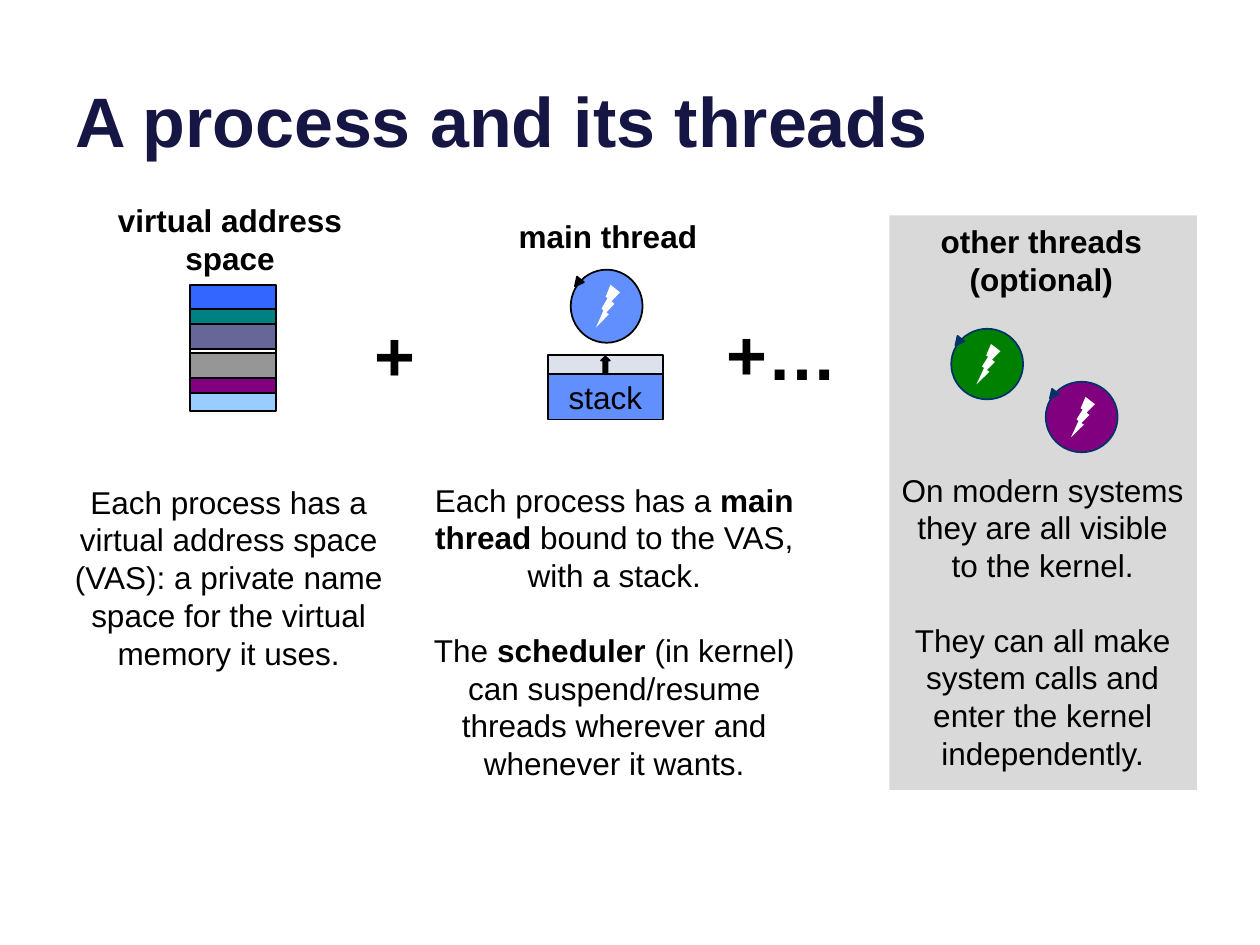
import pptx
import pptx.util
import pptx.dml.color
import pptx.enum.shapes
import pptx.enum.text

Inches = pptx.util.Inches
Pt = pptx.util.Pt
hue = pptx.dml.color.RGBColor.from_string
Kind = pptx.enum.shapes.MSO_SHAPE
Align = pptx.enum.text.PP_ALIGN
Anchor = pptx.enum.text.MSO_ANCHOR
Fit = pptx.enum.text.MSO_AUTO_SIZE

deck = pptx.Presentation()
deck.slide_width = Inches(10)
deck.slide_height = Inches(7.5)
slide = deck.slides.add_slide(deck.slide_layouts[6])


def draw(kind, box, fill, line=None):
    shape = slide.shapes.add_shape(kind, *map(Inches, box))
    shape.shadow.inherit = False
    shape.fill.solid()
    shape.fill.fore_color.rgb = hue(fill)
    if line:
        shape.line.color.rgb = hue(line)
        shape.line.width = Pt(1)
    else:
        shape.line.fill.background()
    return shape


def write(text, box=None, host=None, size=18, bold=False, color="000000",
          align=Align.CENTER, anchor=Anchor.MIDDLE, wrap=True, grow=True, gap=0):
    host = host or slide.shapes.add_textbox(*map(Inches, box))
    frame = host.text_frame
    frame.word_wrap = wrap
    frame.auto_size = Fit.SHAPE_TO_FIT_TEXT if grow else Fit.NONE
    frame.vertical_anchor = anchor
    for row, words in enumerate(text.split("\n")):
        para = frame.add_paragraph() if row else frame.paragraphs[0]
        para.alignment = align
        if row:
            para.space_before = Pt(gap)
        for part, piece in enumerate(words.split("**")):
            run = para.add_run()
            run.text = piece
            run.font.name = "Arial"
            run.font.size = Pt(size)
            run.font.bold = bold or part % 2 == 1
            run.font.color.rgb = hue(color)


draw(Kind.RECTANGLE, (7.06, 1.71, 2.44, 4.56), "D9D9D9")
write("A process and its threads", (0.5, -0.37, 9, 1.7), size=40, bold=True,
      color="161645", align=Align.LEFT, anchor=Anchor.BOTTOM, grow=False)
write("+", (2.87, 2.42, 0.52, 0.77), size=40, bold=True, wrap=False)
write("+…", (5.66, 2.41, 1.09, 0.77), size=40, bold=True, wrap=False)

write("virtual address space", (0.65, 1.54, 2.35, 0.71), bold=True)
top = 2.26
for high, fill in [(0.19, "3366FF"), (0.12, "008080"), (0.2, "666699"), (0.03, "FFFFFF"),
                   (0.2, "969696"), (0.12, "800080"), (0.14, "99CCFF")]:
    draw(Kind.FLOWCHART_PROCESS, (1.51, top, 0.68, high), fill, "000000")
    top += high

write("main thread", (4.01, 1.67, 1.63, 0.4), bold=True, wrap=False)
draw(Kind.FLOWCHART_PROCESS, (4.35, 2.82, 0.91, 0.15), "DDE1EB", "000000")
stack = draw(Kind.FLOWCHART_PROCESS, (4.35, 2.97, 0.91, 0.36), "618FFD", "000000")
write("stack", host=stack, wrap=False, grow=False)
arrow = draw(Kind.UP_ARROW, (4.77, 2.83, 0.07, 0.13), "000000", "000000")
arrow.adjustments[1] = 0.46

for left, top, high, fill, line in [(4.53, 2.14, 0.58, "618FFD", "000000"),
                                    (7.55, 2.61, 0.56, "008000", "003367"),
                                    (8.3, 3.03, 0.56, "800080", "003367")]:
    draw(Kind.OVAL, (left, top, 0.57, high), fill, line)
    bolt = draw(Kind.LIGHTNING_BOLT, (left + 0.2, top + 0.12, 0.19, high - 0.24), "FFFFFF")
    bolt.element.spPr.xfrm.set("flipH", "1")
    tip = draw(Kind.ISOSCELES_TRIANGLE, (left + 0.02, top + 0.07, 0.07, 0.07), line, line)
    tip.rotation = 219

write("Each process has a **main thread **bound to the VAS, with a stack.\n"
      "The **scheduler** (in kernel) can suspend/resume threads wherever and "
      "whenever it wants.", (3.25, 3.75, 3.25, 2.52), gap=21)
write("Each process has a virtual address space (VAS): a private name space "
      "for the virtual memory it uses.", (0.44, 3.77, 2.75, 1.62))
write("On modern systems they are all visible to the kernel.\n"
      "They can all make system calls and enter the kernel independently.",
      (7.05, 3.67, 2.45, 2.52), gap=21)
write("other threads\n(optional)", (7.36, 1.71, 1.81, 0.71), bold=True, wrap=False)

deck.save("out.pptx")
